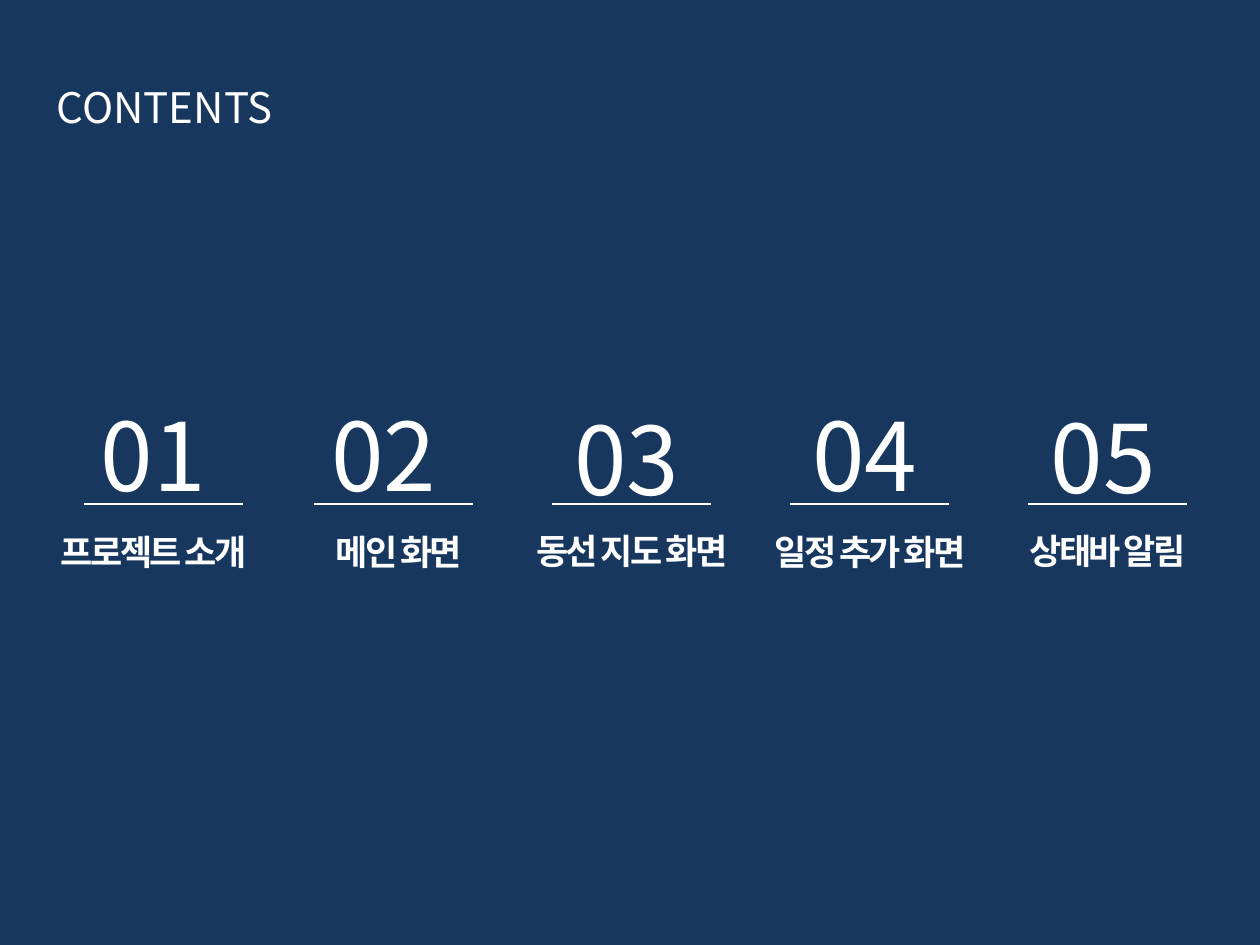
import pptx
import pptx.dml.color
import pptx.enum.text
import pptx.oxml.ns
import pptx.util
from lxml import etree

Pt = pptx.util.Pt
FONT = "Noto Sans CJK KR"
COLORS = {"background": "17375E", "foreground": "FFFFFF"}
RULE_TOP = 288
RULE_WIDTH = 90.72

# number, number left, number top, rule left, label, label left, label top, label width
SECTIONS = [
    ("01", 50.4, 223.2, 48.24, "프로젝트 소개", -2.1, 299.5, 180),
    ("02", 182.2, 223.2, 179.28, "메인 화면", 162.7, 299.5, 130.3),
    ("03", 321.1, 225.4, 315.36, "동선 지도 화면", 293, 298.8, 136.1),
    ("04", 457.2, 223.2, 451.44, "일정 추가 화면", 423.4, 299.5, 147.6),
    ("05", 593.3, 224.6, 587.52, "상태바 알림", 546.5, 298.8, 172.8),
]


def color(name):
    return pptx.dml.color.RGBColor.from_string(COLORS[name])


def write_text(shape, text, size, align, bold=False, spacing=0):
    """Fill a top-anchored text shape with one run; spacing is in points."""
    frame = shape.text_frame
    frame.word_wrap = True
    frame.auto_size = pptx.enum.text.MSO_AUTO_SIZE.SHAPE_TO_FIT_TEXT
    frame.vertical_anchor = pptx.enum.text.MSO_ANCHOR.TOP
    paragraph = frame.paragraphs[0]
    paragraph.alignment = align
    run = paragraph.add_run()
    run.text = text
    run.font.size = Pt(size)
    run.font.bold = bold
    run.font.name = FONT
    run.font.color.rgb = color("foreground")
    properties = run.font._element
    if spacing:
        properties.set("spc", str(int(spacing * 100)))
    latin = properties.find(pptx.oxml.ns.qn("a:latin"))
    east_asian = etree.Element(pptx.oxml.ns.qn("a:ea"), typeface=FONT)
    latin.addnext(east_asian)


presentation = pptx.Presentation()
presentation.slide_width = Pt(720)
presentation.slide_height = Pt(540)
slide = presentation.slides.add_slide(presentation.slide_layouts[5])
slide.background.fill.solid()
slide.background.fill.fore_color.rgb = color("background")

left_align = pptx.enum.text.PP_ALIGN.LEFT
center_align = pptx.enum.text.PP_ALIGN.CENTER

title = slide.shapes.title
title.left, title.top, title.width, title.height = Pt(25.2), Pt(43.2), Pt(329), Pt(36)
write_text(title, "CONTENTS", 24, left_align)

for (number, number_left, number_top, rule_left,
     label, label_left, label_top, label_width) in SECTIONS:
    number_box = slide.shapes.add_textbox(
        Pt(number_left), Pt(number_top), Pt(85.7), Pt(72.7))
    write_text(number_box, number, 54, left_align)

    rule = slide.shapes.add_connector(
        pptx.enum.shapes.MSO_CONNECTOR.STRAIGHT,
        Pt(rule_left), Pt(RULE_TOP), Pt(rule_left + RULE_WIDTH), Pt(RULE_TOP))
    rule.line.color.rgb = color("foreground")
    rule.line.width = Pt(0.75)
    etree.SubElement(rule._element.spPr, pptx.oxml.ns.qn("a:effectLst"))

    label_box = slide.shapes.add_textbox(
        Pt(label_left), Pt(label_top), Pt(label_width), Pt(31.7))
    write_text(label_box, label, 20, center_align, bold=True, spacing=-1.5)

presentation.save("out.pptx")
